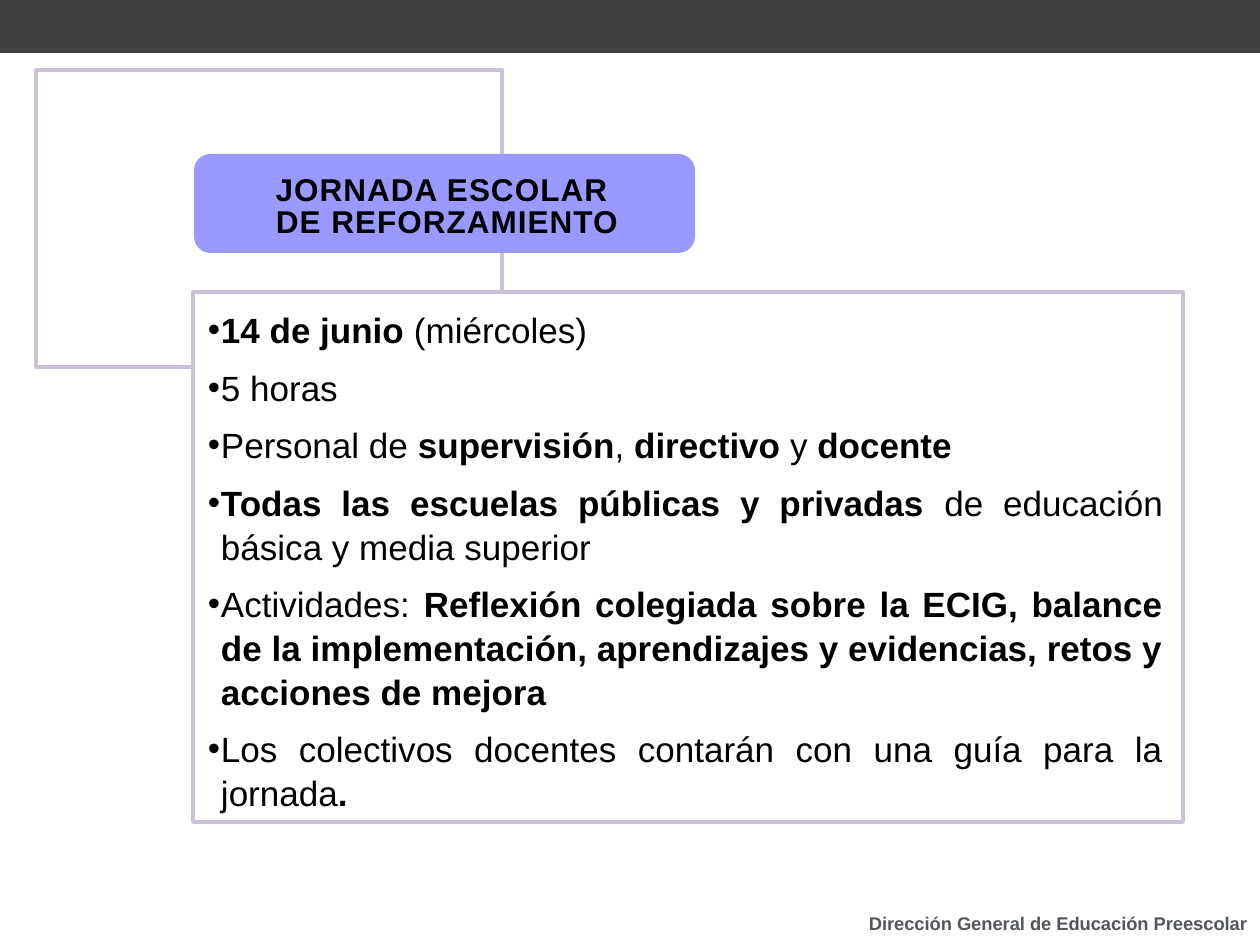
from dataclasses import dataclass
from typing import Optional

from lxml.etree import SubElement
from pptx import Presentation
from pptx.dml.color import RGBColor
from pptx.enum.shapes import MSO_SHAPE as Shape
from pptx.enum.text import MSO_ANCHOR as Anchor, PP_ALIGN as Align
from pptx.oxml.ns import qn
from pptx.util import Emu, Pt

PX = 914400 / 126
FONT = "Arial"
BLACK, WHITE, LILAC, VIOLET = "000000", "FFFFFF", "CCC1DB", "9999FF"


@dataclass
class Box:
    left: int
    top: int
    width: int
    height: int
    fill: str
    line: Optional[str] = None
    kind: Shape = Shape.RECTANGLE


def px(length: int) -> Emu:
    return Emu(round(length * PX))


def color(value: str) -> RGBColor:
    return RGBColor.from_string(value)


def place(item, left: int, top: int, width: int, height: int) -> None:
    item.left, item.top = px(left), px(top)
    item.width, item.height = px(width), px(height)


def set_margins(frame, left: int, top: int, right: int, bottom: int) -> None:
    frame.margin_left, frame.margin_top = px(left), px(top)
    frame.margin_right, frame.margin_bottom = px(right), px(bottom)


def draw_box(slide, box: Box):
    item = slide.shapes.add_shape(box.kind, px(box.left), px(box.top),
                                  px(box.width), px(box.height))
    item.shadow.inherit = False
    item.fill.solid()
    item.fill.fore_color.rgb = color(box.fill)
    if box.line:
        item.line.color.rgb = color(box.line)
        item.line.width = Pt(2.25)
    else:
        item.line.fill.background()
    return item


def add_run(paragraph, text: str, size: float, bold: bool, tint: str = BLACK):
    run = paragraph.add_run()
    run.text = text
    run.font.name, run.font.size, run.font.bold = FONT, Pt(size), bold
    run.font.color.rgb = color(tint)
    return run


def format_bullet(paragraph) -> None:
    paragraph.alignment = Align.JUSTIFY
    paragraph.line_spacing = 1.04
    paragraph.space_after = Pt(8)
    props = paragraph._p.get_or_add_pPr()
    props.set("marL", str(px(13)))
    props.set("indent", str(-px(13)))
    SubElement(props, qn("a:buFont")).set("typeface", FONT)
    SubElement(props, qn("a:buChar")).set("char", "•")


# Each point is a list of (text, bold) runs
POINTS = [
    [("14 de junio ", True), ("(miércoles)", False)],
    [("5 horas", False)],
    [("Personal de ", False), ("supervisión", True), (",", False),
     (" directivo ", True), ("y", False), (" docente", True)],
    [("Todas las escuelas públicas y privadas ", True),
     ("de educación básica y media superior", False)],
    [("Actividades: ", False),
     ("Reflexión colegiada sobre la ECIG, balance de la implementación, "
      "aprendizajes y evidencias, retos y acciones de mejora", True)],
    [("Los colectivos docentes contarán con una guía para la jornada", False),
     (".", True)],
]
TITLE_LINES = ["JORNADA ESCOLAR ", "DE REFORZAMIENTO"]


def draw_title(slide) -> None:
    title = slide.shapes.title
    # Bring the title in front of its backing shapes
    title._element.getparent().append(title._element)
    place(title, 217, 163, 460, 90)
    title.fill.solid()
    title.fill.fore_color.rgb = color(VIOLET)
    frame = title.text_frame
    frame.word_wrap, frame.vertical_anchor = True, Anchor.MIDDLE
    set_margins(frame, 10, 10, 10, 10)
    heading = frame.paragraphs[0]
    heading.alignment, heading.line_spacing = Align.CENTER, Pt(18)
    for index, line in enumerate(TITLE_LINES):
        if index:
            heading.add_line_break()
        run = add_run(heading, line, 18, True)
        run.font._element.set("spc", "60")


def draw_points(slide) -> None:
    panel = draw_box(slide, Box(193, 292, 990, 530, WHITE, LILAC))
    frame = panel.text_frame
    frame.word_wrap, frame.vertical_anchor = True, Anchor.TOP
    set_margins(frame, 15, 15, 20, 6)
    for index, runs in enumerate(POINTS):
        point = frame.add_paragraph() if index else frame.paragraphs[0]
        format_bullet(point)
        for text, bold in runs:
            add_run(point, text, 20, bold)


def draw_footer(slide) -> None:
    footer = slide.shapes.add_textbox(px(576), px(906), px(684), px(37))
    footer.text_frame.word_wrap = True
    line = footer.text_frame.paragraphs[0]
    line.alignment = Align.RIGHT
    add_run(line, "Dirección General de Educación Preescolar", 10.5, True, "53575C")


def main() -> None:
    deck = Presentation()
    deck.slide_width, deck.slide_height = px(1260), px(945)
    slide = deck.slides.add_slide(deck.slide_layouts[5])

    # Top band and footer
    draw_box(slide, Box(0, 0, 1260, 53, "404040"))
    draw_footer(slide)

    # Outline frame and title plate
    draw_box(slide, Box(36, 70, 466, 297, WHITE, LILAC))
    draw_box(slide, Box(194, 154, 501, 99, VIOLET, kind=Shape.ROUNDED_RECTANGLE))
    draw_title(slide)

    # Main panel
    draw_points(slide)
    deck.save("out.pptx")


if __name__ == "__main__":
    main()
